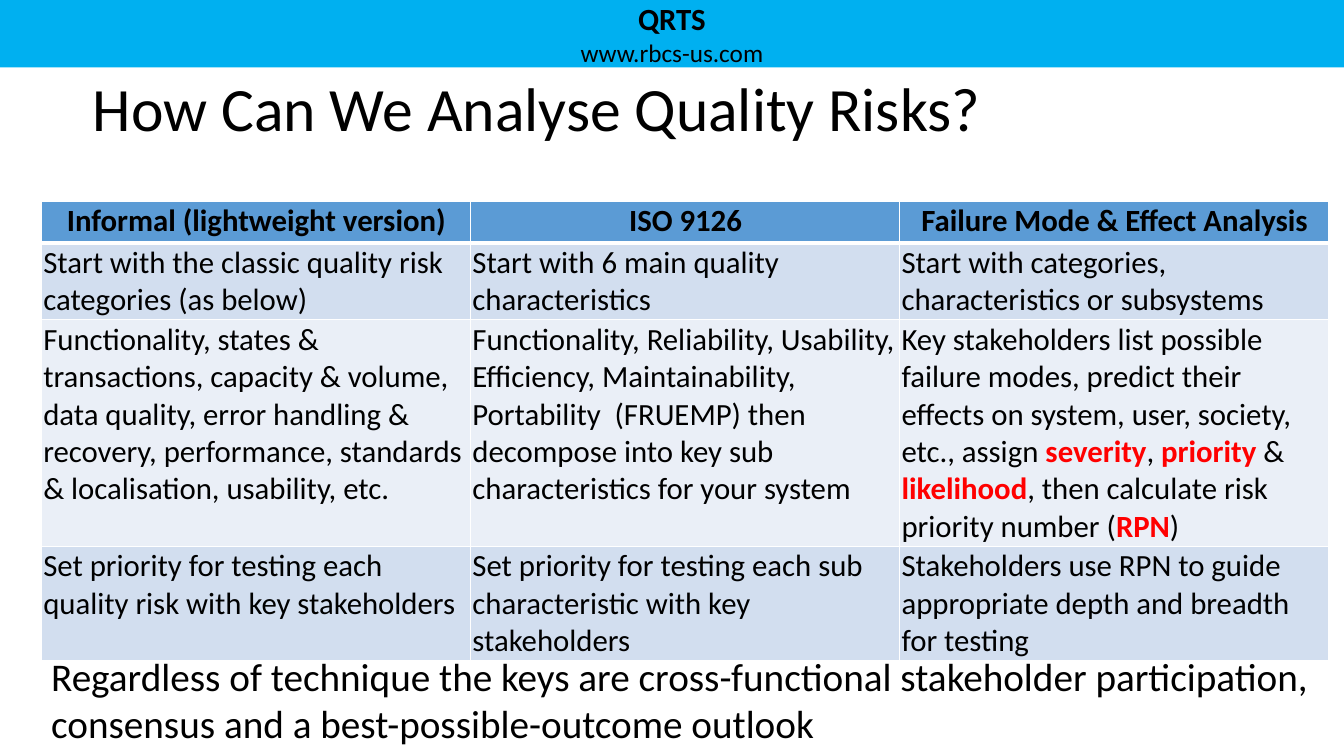
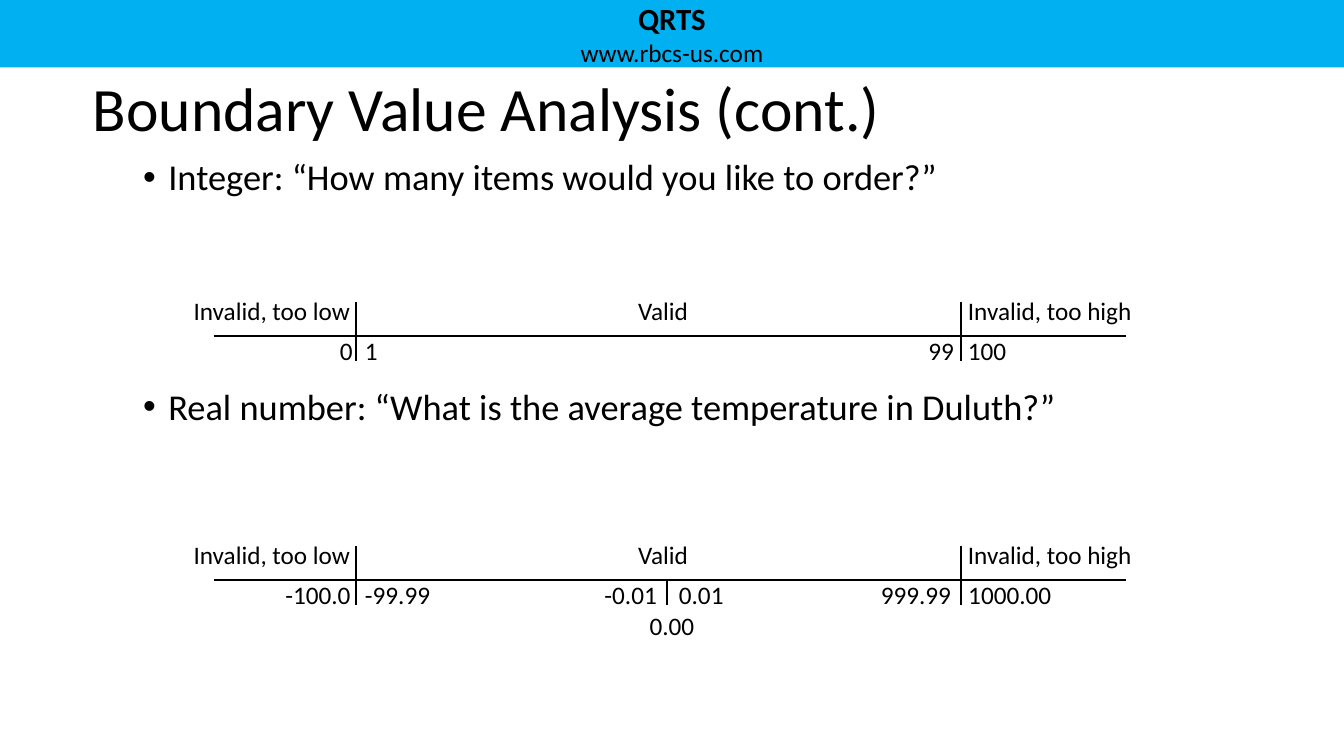
from pptx import Presentation
from pptx.dml.color import RGBColor
from pptx.enum.shapes import MSO_CONNECTOR, MSO_SHAPE
from pptx.enum.text import MSO_ANCHOR, MSO_AUTO_SIZE, PP_ALIGN
from pptx.oxml.ns import qn
from pptx.util import Inches, Pt
from lxml import etree

LEFT, CENTER, RIGHT = PP_ALIGN.LEFT, PP_ALIGN.CENTER, PP_ALIGN.RIGHT
TOP, MIDDLE = MSO_ANCHOR.TOP, MSO_ANCHOR.MIDDLE
NO_AUTOFIT, GROW = MSO_AUTO_SIZE.NONE, MSO_AUTO_SIZE.SHAPE_TO_FIT_TEXT
RECTANGLE, STRAIGHT = MSO_SHAPE.RECTANGLE, MSO_CONNECTOR.STRAIGHT

FONT = "Calibri"
TITLE_ONLY = 5
COLORS = {
    "text": "000000",
    "emphasis": "FF0000",
    "band": "00B0F0",
    "header": "5B9BD5",
    "row_dark": "D2DEEF",
    "row_light": "EAEFF7",
    "border": "FFFFFF",
}

# Text between asterisks is emphasised
RISK_ROWS = [
    ["Informal (lightweight version)", "ISO 9126", "Failure Mode & Effect Analysis"],
    [
        "Start with the classic quality risk categories (as below)",
        "Start with 6 main quality characteristics",
        "Start with categories, characteristics or subsystems",
    ],
    [
        "Functionality, states & transactions, capacity & volume, data quality, "
        "error handling & recovery, performance, standards & localisation, usability, etc.",
        "Functionality, Reliability, Usability, Efficiency, Maintainability, "
        "Portability  (FRUEMP) then decompose into key sub characteristics for your system",
        "Key stakeholders list possible failure modes, predict their effects on system, "
        "user, society, etc., assign *severity*, *priority* & *likelihood*, "
        "then calculate risk priority number (*RPN*)",
    ],
    [
        "Set priority for testing each quality risk with key stakeholders",
        "Set priority for testing each sub characteristic with key stakeholders",
        "Stakeholders use RPN to guide appropriate depth and breadth for testing",
    ],
]
RISK_ROW_HEIGHTS = [0.41, 0.75, 2.23, 1.12]

# Values under a number line: text, left, width, alignment, wrap
INTEGER_VALUES = [
    ("0", 3.37, 0.13, LEFT, False),
    ("1", 3.62, 0.13, LEFT, False),
    ("99", 9.08, 0.38, RIGHT, True),
    ("100", 9.6, 0.57, LEFT, True),
]
REAL_VALUES = [
    ("-100.0", 2.83, 0.67, LEFT, True),
    ("-99.99", 3.62, 0.67, LEFT, True),
    ("-0.01", 5.92, 0.67, CENTER, True),
    ("0.01", 6.62, 0.67, CENTER, True),
    ("999.99", 8.67, 0.83, CENTER, True),
    ("1000.00", 9.6, 0.83, CENTER, True),
]
REGIONS = [("Invalid, too low", 1.92, 1.57), ("Valid", 6.33, 0.5), ("Invalid, too high", 9.6, 1.64)]


def color(name):
    return RGBColor.from_string(COLORS[name])


def write_text(paragraph, text, size=18, bold=False, align=LEFT, line_spacing=None, space_before=0):
    """Fill a paragraph, with the parts between asterisks in bold red."""
    paragraph.alignment = align
    paragraph.space_before = Pt(space_before)
    if line_spacing:
        paragraph.line_spacing = line_spacing
    for index, part in enumerate(text.split("*")):
        emphasised = index % 2 == 1
        run = paragraph.add_run()
        run.text = part
        run.font.name = FONT
        run.font.size = Pt(size)
        run.font.bold = bold or emphasised
        run.font.color.rgb = color("emphasis" if emphasised else "text")


def set_frame(frame, margins=(0, 0, 0, 0), anchor=TOP, wrap=True, autofit=GROW):
    frame.margin_left, frame.margin_top, frame.margin_right, frame.margin_bottom = map(Inches, margins)
    frame.vertical_anchor = anchor
    frame.word_wrap = wrap
    frame.auto_size = autofit


def add_text(slide, text, left, top, width, height=0.3, margins=(0, 0, 0, 0), wrap=True, **text_format):
    box = slide.shapes.add_textbox(Inches(left), Inches(top), Inches(width), Inches(height))
    set_frame(box.text_frame, margins, wrap=wrap)
    write_text(box.text_frame.paragraphs[0], text, **text_format)


def add_line(slide, start_x, start_y, end_x, end_y):
    line = slide.shapes.add_connector(
        STRAIGHT, Inches(start_x), Inches(start_y), Inches(end_x), Inches(end_y))
    line.line.color.rgb = color("text")
    line.line.width = Pt(1.5)
    etree.SubElement(line.element.spPr, qn("a:effectLst"))


def add_titled_slide(presentation, title_text):
    slide = presentation.slides.add_slide(presentation.slide_layouts[TITLE_ONLY])
    title = slide.shapes.title
    title.left, title.top, title.width, title.height = map(Inches, (0.92, 0.58, 11.5, 1))
    set_frame(title.text_frame, (0, 0.05, 0, 0), anchor=MIDDLE, autofit=NO_AUTOFIT)
    write_text(title.text_frame.paragraphs[0], title_text, size=44, line_spacing=0.9)
    return slide


def move_band_to_layout(slide):
    """Draw the header band and hand it to the layout that all slides share."""
    band = slide.shapes.add_shape(RECTANGLE, 0, 0, Inches(13.33), Inches(0.67))
    band.shadow.inherit = False
    band.fill.solid()
    band.fill.fore_color.rgb = color("band")
    band.line.fill.background()
    frame = band.text_frame
    set_frame(frame, (0.1, 0, 0.1, 0))
    write_text(frame.paragraphs[0], "QRTS", size=22, bold=True, align=CENTER)
    write_text(frame.add_paragraph(), "www.rbcs-us.com", align=CENTER)
    slide.slide_layout.shapes.element.append(band.element)


def add_cell_borders(table_frame):
    for row_index, row in enumerate(table_frame.element.iter(qn("a:tr"))):
        for properties in row.iter(qn("a:tcPr")):
            for position, side in enumerate("LRTB"):
                under_header = (row_index, side) in ((0, "B"), (1, "T"))
                border = etree.Element(qn(f"a:ln{side}"), w=str(Pt(3 if under_header else 1)))
                fill = etree.SubElement(border, qn("a:solidFill"))
                etree.SubElement(fill, qn("a:srgbClr"), val=COLORS["border"])
                properties.insert(position, border)


def add_table(slide, rows, row_heights, left, top, width):
    table_frame = slide.shapes.add_table(
        len(rows), len(rows[0]), Inches(left), Inches(top), Inches(width), Inches(sum(row_heights)))
    table = table_frame.table
    for row_index, row in enumerate(rows):
        table.rows[row_index].height = Inches(row_heights[row_index])
        is_header = row_index == 0
        fill_name = "header" if is_header else "row_dark" if row_index % 2 else "row_light"
        for column_index, text in enumerate(row):
            cell = table.cell(row_index, column_index)
            cell.margin_left = Inches(0.02)
            cell.margin_top = cell.margin_right = cell.margin_bottom = Inches(0.01)
            cell.fill.solid()
            cell.fill.fore_color.rgb = color(fill_name)
            write_text(cell.text_frame.paragraphs[0], text, size=22, bold=is_header,
                       align=CENTER if is_header else LEFT)
    add_cell_borders(table_frame)


def add_bullets(slide, texts, left, top, width, height, gap):
    box = slide.shapes.add_textbox(Inches(left), Inches(top), Inches(width), Inches(height))
    frame = box.text_frame
    set_frame(frame, autofit=NO_AUTOFIT)
    for index, text in enumerate(texts):
        paragraph = frame.add_paragraph() if index else frame.paragraphs[0]
        write_text(paragraph, text, size=26, line_spacing=0.9, space_before=gap if index else 0)
        properties = paragraph.font and paragraph.runs[0].font and box.element.findall(
            ".//" + qn("a:pPr"))[index]
        properties.set("marL", str(Inches(0.75)))
        properties.set("indent", str(Inches(-0.25)))
        bullet_font = etree.Element(qn("a:buFont"), typeface="Arial")
        bullet = etree.Element(qn("a:buChar"), char="•")
        # Bullets follow the spacing elements and precede the default run format
        defaults = properties.find(qn("a:defRPr"))
        for element in (bullet_font, bullet):
            if defaults is None:
                properties.append(element)
            else:
                defaults.addprevious(element)


def add_number_line(slide, axis_y, values):
    add_line(slide, 2.12, axis_y, 11.17, axis_y)
    for boundary_x in (3.53, 9.53):
        add_line(slide, boundary_x, axis_y - 0.33, boundary_x, axis_y + 0.25)
    for text, left, width in REGIONS:
        add_text(slide, text, left, axis_y - 0.4, width, wrap=False)
    for text, left, width, align, wrap in values:
        add_text(slide, text, left, axis_y, width, align=align, wrap=wrap)


def build_risk_slide(presentation):
    slide = add_titled_slide(presentation, "How Can We Analyse Quality Risks?")
    move_band_to_layout(slide)
    add_table(slide, RISK_ROWS, RISK_ROW_HEIGHTS, 0.41, 2, 12.77)
    add_text(
        slide,
        "Regardless of technique the keys are cross-functional stakeholder participation, "
        "consensus and a best-possible-outcome outlook",
        0.41, 6.42, 12.77, 1.04, margins=(0.1, 0.05, 0.1, 0.05), size=28)


def build_boundary_slide(presentation):
    slide = add_titled_slide(presentation, "Boundary Value Analysis (cont.)")
    questions = [
        "Integer: “How many items would you like to order?”",
        "Real number: “What is the average temperature in Duluth?”",
    ]
    add_bullets(slide, questions, 0.92, 1.58, 11.5, 5.75, gap=136)
    add_number_line(slide, 3.33, INTEGER_VALUES)
    add_number_line(slide, 5.75, REAL_VALUES)
    # Zero in the middle of the real-number line
    add_line(slide, 6.62, 5.75, 6.62, 6)
    add_text(slide, "0.00", 6.33, 6.05, 0.67, align=CENTER)


def main():
    presentation = Presentation()
    presentation.slide_width, presentation.slide_height = Inches(13.33), Inches(7.5)
    build_risk_slide(presentation)
    build_boundary_slide(presentation)
    presentation.save("out.pptx")


if __name__ == "__main__":
    main()
